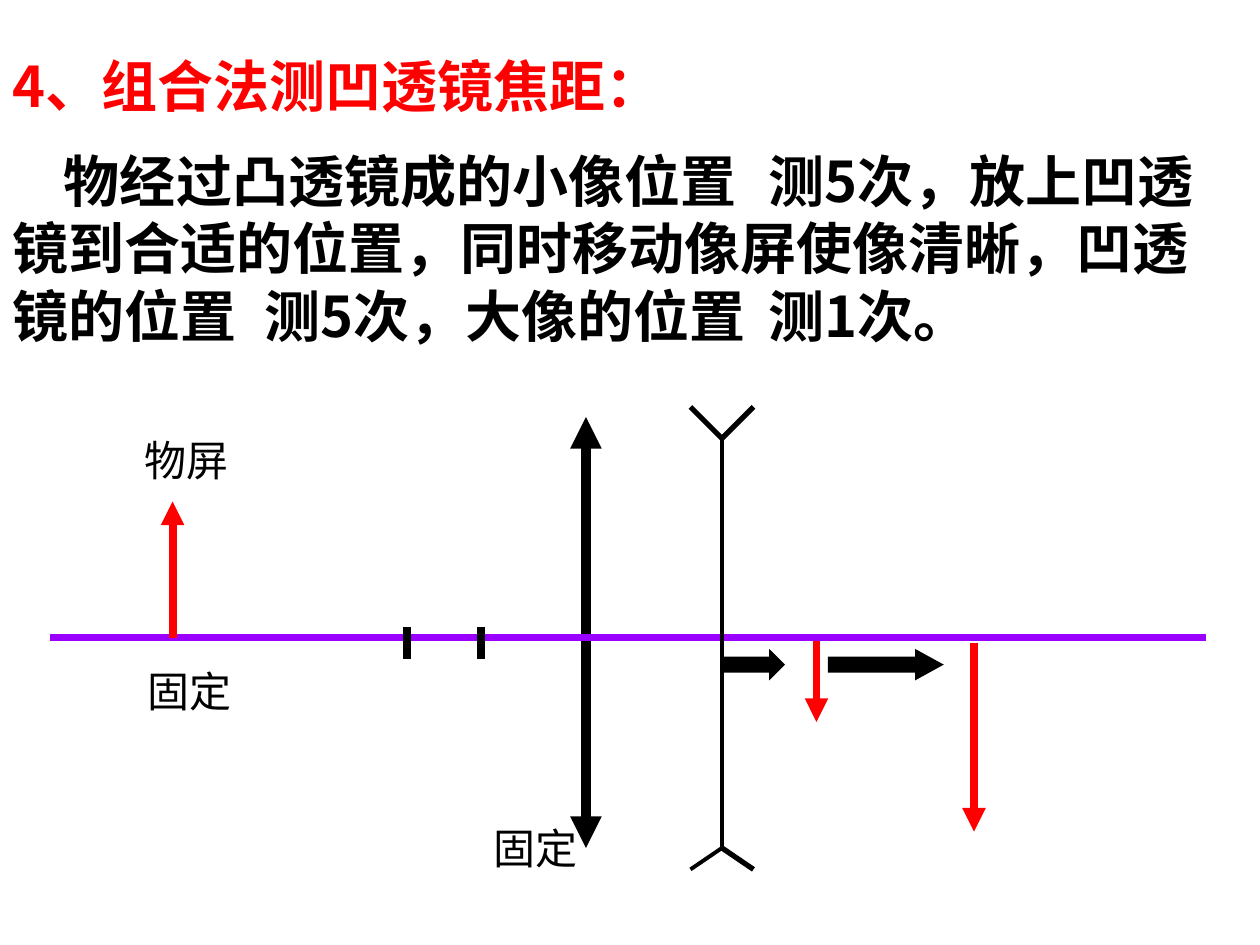
from pptx import Presentation
from pptx.dml.color import RGBColor
from pptx.enum.shapes import MSO_CONNECTOR, MSO_SHAPE
from pptx.oxml.ns import qn
from pptx.util import Inches, Pt
from lxml import etree

LINE = MSO_CONNECTOR.STRAIGHT
RIGHT_ARROW = MSO_SHAPE.RIGHT_ARROW
COLORS = {"red": "FF0000", "black": "000000", "purple": "9900FF"}
CJK_FONT = "Noto Sans CJK SC"
LATIN_FONT = "Times New Roman"
AXIS_Y = 5.06
CONVEX_X = 4.65
CONCAVE_X, CONCAVE_TOP, CONCAVE_BOTTOM = 5.73, 3.48, 6.73


def rgb(name):
    return RGBColor.from_string(COLORS[name])


def add_run(p, text, size, color, font, bold=False):
    r = p.add_run()
    r.text = text
    r.font.size = Pt(size)
    r.font.bold = bold
    r.font.name = font
    r.font.color.rgb = rgb(color)
    ea = etree.SubElement(r._r.get_or_add_rPr(), qn("a:ea"))
    ea.set("typeface", CJK_FONT)


def add_text_box(slide, x, y, w, h):
    sp = slide.shapes.add_textbox(Inches(x), Inches(y), Inches(w), Inches(h))
    tf = sp.text_frame
    tf.word_wrap = True
    return tf


def set_indent_and_tabs(p, indent, stops):
    pPr = p._p.get_or_add_pPr()
    pPr.set("marL", "0")
    pPr.set("indent", str(Inches(indent)))
    tabs = etree.SubElement(pPr, qn("a:tabLst"))
    for stop in stops:
        etree.SubElement(tabs, qn("a:tab"), pos=str(Inches(stop)), algn="l")


def add_explanation(slide):
    tf = add_text_box(slide, 0, 0.36, 9.73, 2.52)
    p = tf.paragraphs[0]
    add_run(p, "4、组合法测凹透镜焦距：", 32, "red", CJK_FONT, True)
    p = tf.add_paragraph()
    set_indent_and_tabs(p, 0.41, (2.53, 6.04, 6.87))
    p.space_before = Pt(16)
    add_run(p, "物经过凸透镜成的小像位置\t测5次，放上凹透镜到合适的位置，"
               "同时移动像屏使像清晰，凹透镜的位置\t测5次，大像的位置\t测1次。",
            32, "black", CJK_FONT, True)


def add_label(slide, text, x, y):
    tf = add_text_box(slide, x, y, 0.92, 0.5)
    add_run(tf.paragraphs[0], text, 24, "black", LATIN_FONT)


def add_line(slide, start, end, color, width, arrow=False):
    cx = slide.shapes.add_connector(LINE, *map(Inches, start + end))
    cx.line.color.rgb = rgb(color)
    cx.line.width = Pt(width)
    if arrow:
        etree.SubElement(cx.line._get_or_add_ln(), qn("a:tailEnd"), type="triangle")
    etree.SubElement(cx._element.spPr, qn("a:effectLst"))


def add_block_arrow(slide, x, w, head):
    sp = slide.shapes.add_shape(RIGHT_ARROW, Inches(x), Inches(5.15), Inches(w), Inches(0.25))
    sp.adjustments[1] = head
    sp.shadow.inherit = False
    sp.fill.solid()
    sp.fill.fore_color.rgb = rgb("black")
    sp.line.fill.background()


def add_concave_lens(slide):
    top, bottom = (CONCAVE_X, CONCAVE_TOP), (CONCAVE_X, CONCAVE_BOTTOM)
    add_line(slide, top, bottom, "black", 2.25)
    for dx, bottom_width in ((-0.25, 2.25), (0.25, 3)):
        add_line(slide, bottom, (CONCAVE_X + dx, 6.9), "black", bottom_width)
        add_line(slide, top, (CONCAVE_X + dx, 3.23), "black", 3)


def main():
    prs = Presentation()
    prs.slide_width, prs.slide_height = Inches(10), Inches(7.5)
    slide = prs.slides.add_slide(prs.slide_layouts[6])

    add_explanation(slide)
    add_line(slide, (6.48, AXIS_Y), (6.48, 5.73), "red", 4.5, True)
    add_block_arrow(slide, 6.57, 0.92, 0.91)
    add_block_arrow(slide, CONCAVE_X, 0.5, 0.5)
    add_line(slide, (7.73, 5.1), (7.73, 6.6), "red", 4.5, True)
    for start_y, end_y in ((AXIS_Y, 3.31), (4.98, 6.73)):
        add_line(slide, (CONVEX_X, start_y), (CONVEX_X, end_y), "black", 6, True)
    add_line(slide, (0.4, AXIS_Y), (9.57, AXIS_Y), "purple", 4.5)
    add_line(slide, (1.37, AXIS_Y), (1.37, 3.98), "red", 4.5, True)
    for x in (3.23, 3.82):
        add_line(slide, (x, 4.98), (x, 5.23), "black", 4.5)
    for text, x, y in (("物屏", 1.05, 3.4), ("固定", 1.07, 5.23), ("固定", 3.82, 6.48)):
        add_label(slide, text, x, y)
    add_concave_lens(slide)

    prs.save("out.pptx")


if __name__ == "__main__":
    main()
